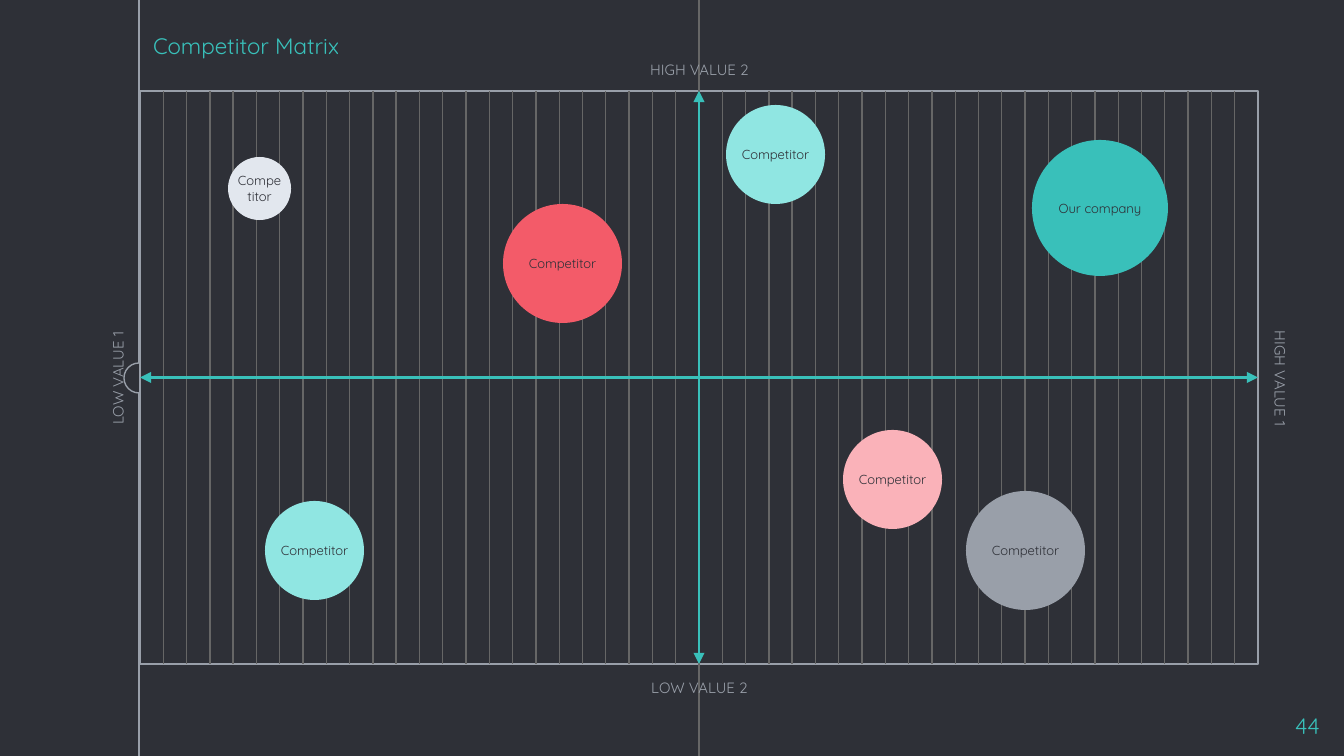
import dataclasses

import lxml.etree
import pptx
import pptx.dml.color
import pptx.enum.shapes
import pptx.enum.text
import pptx.oxml.ns
import pptx.util

EMU_PER_PIXEL = 914400 / 134.4
SLIDE_WIDTH, SLIDE_HEIGHT = 1344, 756
ALIGN = pptx.enum.text.PP_ALIGN
ANCHOR = pptx.enum.text.MSO_ANCHOR
SHAPE = pptx.enum.shapes.MSO_SHAPE


@dataclasses.dataclass(frozen=True)
class Theme:
    """Colours, font and sizes in points."""
    font: str = "Quicksand"
    ground: str = "2E3037"
    teal: str = "39C0BA"
    aqua: str = "90E6E2"
    red: str = "F35B69"
    pink: str = "FAB2B9"
    gray: str = "999FA9"
    pale: str = "E2E7EE"
    grid: str = "666666"
    title_size: float = 12
    axis_size: float = 8
    bubble_size: float = 7
    thin: float = 0.75
    thick: float = 1.5


def px(length):
    """Turn picture pixels into EMU."""
    return pptx.util.Emu(round(length * EMU_PER_PIXEL))


def rgb(colour):
    """Turn a hex string into a colour."""
    return pptx.dml.color.RGBColor.from_string(colour)


def write(frame, text, *, font, size, colour, align=ALIGN.CENTER,
          anchor=ANCHOR.MIDDLE, inset=0):
    """Put formatted text into a text frame."""
    frame.word_wrap = True
    frame.vertical_anchor = anchor
    frame.margin_left = frame.margin_right = px(inset)
    frame.margin_top = frame.margin_bottom = px(inset)
    paragraph = frame.paragraphs[0]
    paragraph.alignment = align
    run = paragraph.add_run()
    run.text = text
    run.font.name = font
    run.font.size = pptx.util.Pt(size)
    run.font.color.rgb = rgb(colour)


@dataclasses.dataclass
class Painter:
    """Draws elements on one slide in one style."""
    theme: Theme
    slide: object

    def line(self, start, end, colour, width, arrows=False):
        """Draw a straight line, with arrowheads at both ends if asked."""
        connector = self.slide.shapes.add_connector(
            pptx.enum.shapes.MSO_CONNECTOR.STRAIGHT,
            *map(px, start), *map(px, end))
        connector.line.color.rgb = rgb(colour)
        connector.line.width = pptx.util.Pt(width)
        properties = connector._element.spPr
        if arrows:
            outline = properties.find(pptx.oxml.ns.qn("a:ln"))
            for tag in ("a:headEnd", "a:tailEnd"):
                lxml.etree.SubElement(
                    outline, pptx.oxml.ns.qn(tag), type="triangle")
        lxml.etree.SubElement(properties, pptx.oxml.ns.qn("a:effectLst"))

    def shape(self, kind, box, fill, outline=None):
        """Draw a filled preset shape and return it."""
        shape = self.slide.shapes.add_shape(kind, *map(px, box))
        shape.shadow.inherit = False
        shape.fill.solid()
        shape.fill.fore_color.rgb = rgb(fill)
        if outline:
            shape.line.color.rgb = rgb(outline)
            shape.line.width = pptx.util.Pt(self.theme.thin)
        else:
            shape.line.fill.background()
        return shape

    def bubble(self, name, left, top, diameter, fill):
        """Draw a company as a labelled circle."""
        circle = self.shape(SHAPE.OVAL, (left, top, diameter, diameter), fill)
        write(circle.text_frame, name, font=self.theme.font,
              size=self.theme.bubble_size, colour=self.theme.ground)

    def text(self, text, box, rotation=0, **style):
        """Add a text box."""
        label = self.slide.shapes.add_textbox(*map(px, box))
        label.rotation = rotation
        write(label.text_frame, text, font=self.theme.font, **style)


def draw_frame(painter, left, top, right, bottom):
    """Draw the margin rule, the matrix area and its grid."""
    theme = painter.theme
    center = (left + right) / 2
    painter.line((139, 0), (139, SLIDE_HEIGHT), theme.gray, theme.thin)
    painter.shape(SHAPE.OVAL, (124, 363, 30, 30), theme.ground, theme.gray)
    painter.text("Competitor Matrix", (140, 0, 1136, 92), size=theme.title_size,
                 colour=theme.teal, align=ALIGN.LEFT, inset=13)
    painter.shape(SHAPE.RECTANGLE, (left, top, right - left, bottom - top),
                  theme.ground, theme.gray)
    columns = 48
    for column in range(1, columns):
        if column != columns // 2:
            x = left + (right - left) * column / columns
            painter.line((x, top), (x, bottom), theme.grid, theme.thin)
    painter.text("44", (1253, 699, 80, 46), size=theme.title_size,
                 colour=theme.teal, align=ALIGN.RIGHT, anchor=ANCHOR.TOP,
                 inset=13)
    painter.line((center, 0), (center, SLIDE_HEIGHT), theme.grid, theme.thin)


def draw_axes(painter, left, top, right, bottom):
    """Draw both axes and the labels of their ends."""
    theme = painter.theme
    center, middle = (left + right) / 2, (top + bottom) / 2
    for start, end in (((center, top), (center, bottom)),
                       ((left, middle), (right, middle))):
        painter.line(start, end, theme.teal, theme.thick, arrows=True)
    for label, x, y, rotation in (
            ("LOW VALUE 1", 30, 367, 270), ("HIGH VALUE 1", 1193, 367, 90),
            ("LOW VALUE 2", 612, 676, 0), ("HIGH VALUE 2", 612, 58, 0)):
        painter.text(label, (x, y, 175, 23), rotation,
                     size=theme.axis_size, colour=theme.gray)


def main():
    """Build and save the slide."""
    theme = Theme()
    deck = pptx.Presentation()
    deck.slide_width, deck.slide_height = px(SLIDE_WIDTH), px(SLIDE_HEIGHT)
    slide = deck.slides.add_slide(deck.slide_layouts[6])
    slide.background.fill.solid()
    slide.background.fill.fore_color.rgb = rgb(theme.ground)
    painter = Painter(theme, slide)

    matrix = (140, 91, 1258, 664)
    draw_frame(painter, *matrix)
    draw_axes(painter, *matrix)
    painter.bubble("Our company", 1032, 140, 136, theme.teal)
    for left, top, diameter, fill in (
            (503, 204, 119, theme.red), (265, 501, 99, theme.aqua),
            (843, 430, 99, theme.pink), (966, 491, 119, theme.gray),
            (726, 105, 99, theme.aqua), (228, 157, 63, theme.pale)):
        painter.bubble("Competitor", left, top, diameter, fill)

    deck.save("out.pptx")


main()
